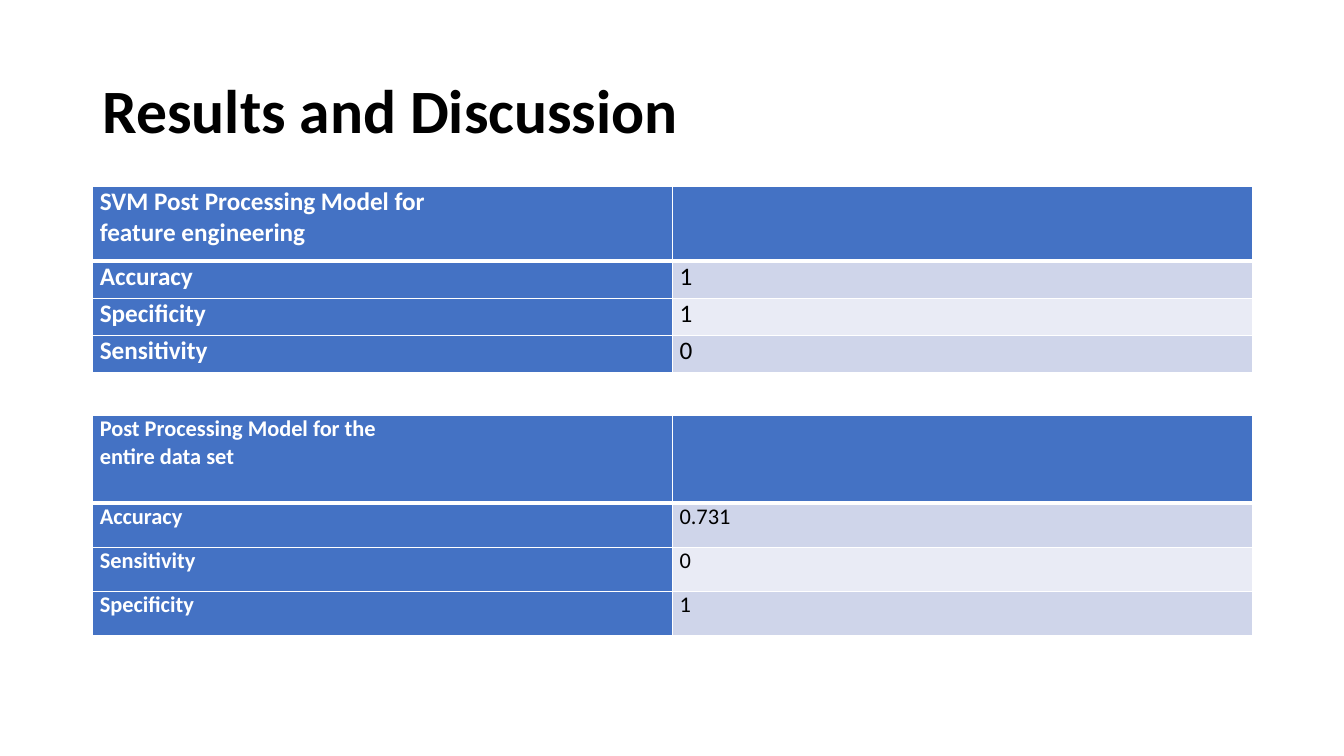
from dataclasses import dataclass
from lxml.etree import SubElement
from pptx import Presentation
from pptx.dml.color import RGBColor
from pptx.enum.text import MSO_ANCHOR
from pptx.oxml import parse_xml
from pptx.oxml.ns import nsdecls
from pptx.util import Emu, Pt


@dataclass(frozen=True)
class Theme:
    font: str = "Calibri"
    ink: str = "000000"
    white: str = "FFFFFF"
    head: str = "4472C4"
    bands: tuple = ("CFD5EA", "E9EBF5")
    title: int = 44
    large: int = 18
    small: int = 16
    thin: int = 1
    thick: int = 3


def px(count):
    return Emu(count * 9144)


class Deck:
    def __init__(self, theme):
        self.theme = theme
        self.file = Presentation()
        self.file.slide_width = px(1333)
        self.file.slide_height = px(750)
        self.slide = self.file.slides.add_slide(self.file.slide_layouts[6])

    def style(self, frame, size, color, bold):
        for para in frame.paragraphs:
            for run in para.runs:
                run.font.name = self.theme.font
                run.font.size = Pt(size)
                run.font.bold = bold
                run.font.color.rgb = RGBColor.from_string(color)

    def title(self, text, left, top, width, height):
        box = self.slide.shapes.add_textbox(px(left), px(top), px(width), px(height))
        frame = box.text_frame
        frame.word_wrap = True
        frame.vertical_anchor = MSO_ANCHOR.MIDDLE
        frame.text = text
        frame.paragraphs[0].line_spacing = 0.9
        self.style(frame, self.theme.title, self.theme.ink, True)

    def border(self, cell, row):
        widths = {
            "L": self.theme.thin,
            "R": self.theme.thin,
            "T": self.theme.thick if row == 1 else self.theme.thin,
            "B": self.theme.thick if row == 0 else self.theme.thin,
        }
        props = cell._tc.get_or_add_tcPr()
        for spot, (side, width) in enumerate(widths.items()):
            line = parse_xml(
                f'<a:ln{side} {nsdecls("a")} w="{Pt(width)}"><a:solidFill>'
                f'<a:srgbClr val="{self.theme.white}"/></a:solidFill></a:ln{side}>'
            )
            props.insert(spot, line)

    def cell(self, cell, text, row, col, size):
        header = row == 0 or col == 0
        fill = self.theme.head if header else self.theme.bands[(row - 1) % 2]
        cell.fill.solid()
        cell.fill.fore_color.rgb = RGBColor.from_string(fill)
        cell.margin_left = cell.margin_right = px(7)
        cell.margin_top = cell.margin_bottom = 0
        cell.text_frame.text = text
        color = self.theme.white if header else self.theme.ink
        self.style(cell.text_frame, size, color, header)
        self.border(cell, row)

    def table(self, data, left, top, width, heads, rows, size):
        count = len(data)
        total = heads + rows * (count - 1)
        frame = self.slide.shapes.add_table(
            count, 2, px(left), px(top), px(width), px(total)
        )
        grid = frame.table
        for col in grid.columns:
            col.width = px(width // 2)
        for row, pair in enumerate(data):
            grid.rows[row].height = px(rows if row else heads)
            for col, text in enumerate(pair):
                self.cell(grid.cell(row, col), text, row, col, size)

    def save(self):
        self.file.save("out.pptx")


def main():
    theme = Theme()
    deck = Deck(theme)
    left, width = 92, 1150
    deck.title("Results and Discussion", left, 40, width, 145)
    model = [
        ("SVM Post Processing Model for\nfeature engineering", ""),
        ("Accuracy", "1"),
        ("Specificity", "1"),
        ("Sensitivity", "0"),
    ]
    whole = [
        ("Post Processing Model for the\nentire data set", ""),
        ("Accuracy", "0.731"),
        ("Sensitivity", "0"),
        ("Specificity", "1"),
    ]
    deck.table(model, left, 185, width, 74, 37, theme.large)
    deck.table(whole, left, 412, width, 87, 44, theme.small)
    deck.save()


if __name__ == "__main__":
    main()
